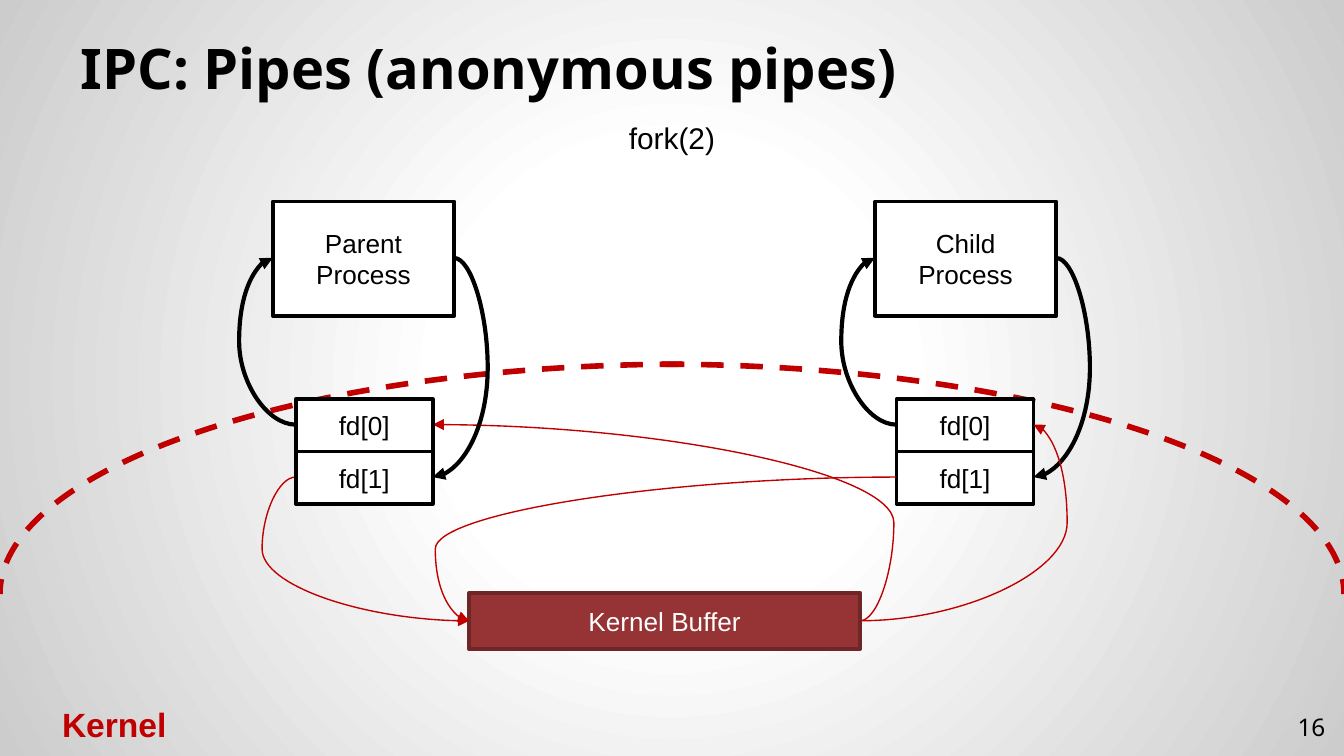
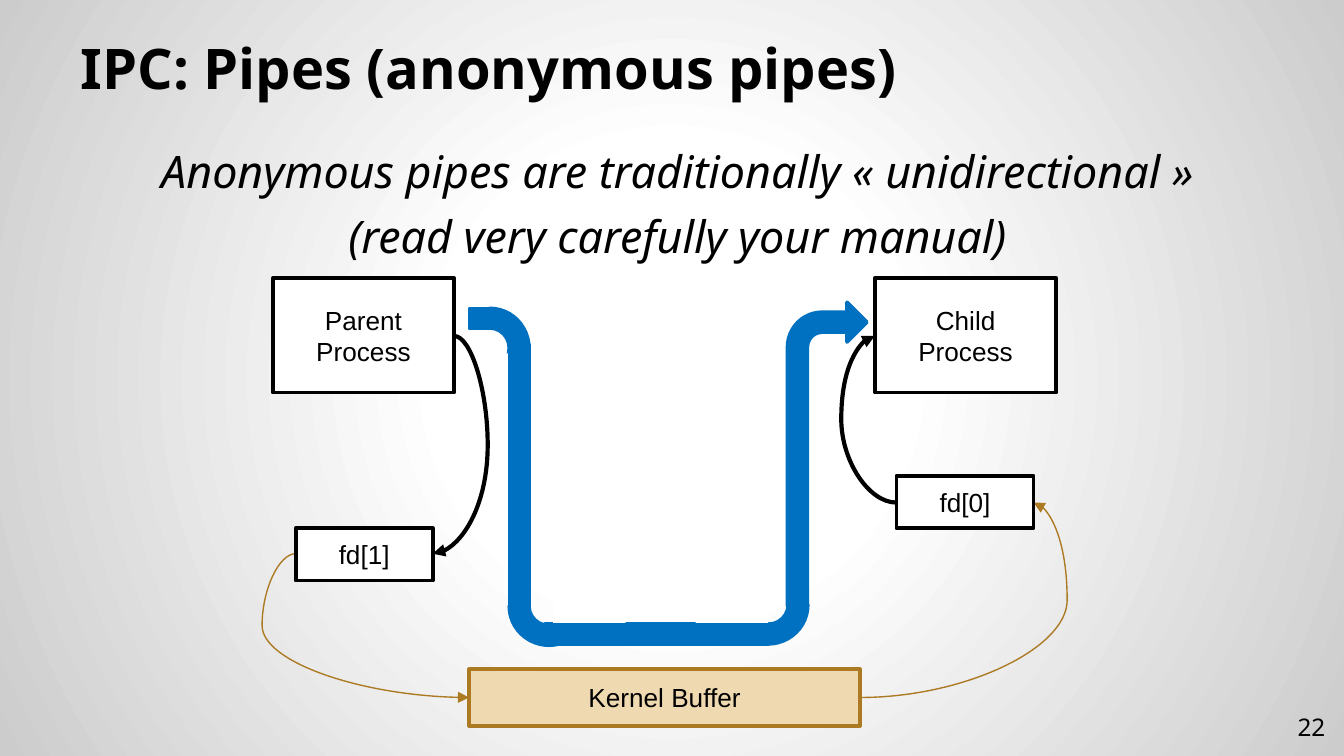
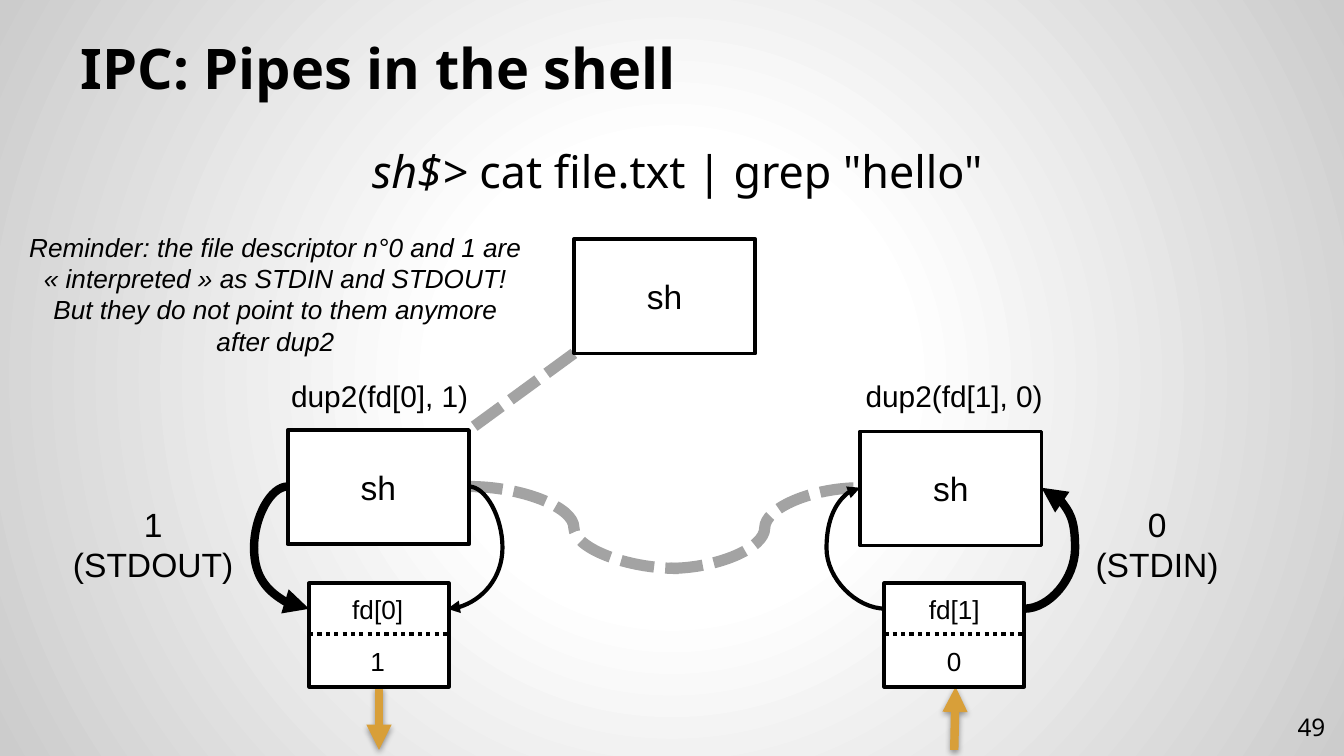
from pptx import Presentation
from pptx.dml.color import RGBColor
from pptx.enum.dml import MSO_LINE
from pptx.enum.shapes import MSO_CONNECTOR, MSO_SHAPE
from pptx.enum.text import MSO_ANCHOR, MSO_AUTO_SIZE, PP_ALIGN
from pptx.oxml import parse_xml
from pptx.oxml.ns import nsdecls
from pptx.util import Inches, Pt

RECTANGLE, ARC = MSO_SHAPE.RECTANGLE, MSO_SHAPE.ARC
BLOCK_ARC, BENT_ARROW = MSO_SHAPE.BLOCK_ARC, MSO_SHAPE.BENT_ARROW
STRAIGHT, CURVE = MSO_CONNECTOR.STRAIGHT, MSO_CONNECTOR.CURVE
DASH, SYSTEM_DASH, SYSTEM_DOT = MSO_LINE.DASH, MSO_LINE.SQUARE_DOT, MSO_LINE.ROUND_DOT
LEFT, CENTER, RIGHT = PP_ALIGN.LEFT, PP_ALIGN.CENTER, PP_ALIGN.RIGHT
TOP, MIDDLE, BOTTOM = MSO_ANCHOR.TOP, MSO_ANCHOR.MIDDLE, MSO_ANCHOR.BOTTOM


class Theme:
    black, white, gray = "000000", "FFFFFF", "A3A3A3"
    red, brick, dark_brick = "C00000", "963334", "6F2626"
    sand, bronze, orange, blue = "EFD9B0", "AB7A22", "D89F39", "0070C0"
    edge_gray = "CCCCCC"
    heading_font, diagram_font = "Noto Sans", "Arial"
    title, body, large, call, label, number = 30, 24, 18, 16, 14, 13
    outline, arrow, thin, thick, link = 2, 2.25, 0.75, 4.5, 6
    bend = 0.25


def add_box(slide, text, at, kind=RECTANGLE, placeholder=None, fill=None, line=None,
            line_width=Theme.outline, dash=None, rotation=0, flip=False,
            font=Theme.diagram_font, size=Theme.label, color=Theme.black, bold=False,
            italic=False, plain_tail="", align=CENTER, anchor=MIDDLE, inset=0.05,
            space_before=0, margin_left=None):
    left, top, width, height = (Inches(value) for value in at)
    if placeholder is not None:
        shape = placeholder
        shape.left, shape.top, shape.width, shape.height = left, top, width, height
    elif kind is None:
        shape = slide.shapes.add_textbox(left, top, width, height)
    else:
        shape = slide.shapes.add_shape(kind, left, top, width, height)
        shape.shadow.inherit = False
        shape.rotation = rotation
        if flip:
            shape._element.spPr.xfrm.set("flipH", "1")
        if fill:
            shape.fill.solid()
            shape.fill.fore_color.rgb = RGBColor.from_string(fill)
        else:
            shape.fill.background()
        if line:
            shape.line.color.rgb = RGBColor.from_string(line)
            shape.line.width = Pt(line_width)
            if dash:
                shape.line.dash_style = dash
        else:
            shape.line.fill.background()
    if not text:
        return
    frame = shape.text_frame
    frame.word_wrap = True
    frame.auto_size = MSO_AUTO_SIZE.NONE
    frame.vertical_anchor = anchor
    frame.margin_left = frame.margin_right = Inches(0.1)
    frame.margin_top = frame.margin_bottom = Inches(inset)
    for index, content in enumerate(text.split("\n")):
        paragraph = frame.add_paragraph() if index else frame.paragraphs[0]
        paragraph.text = content
        if plain_tail:
            paragraph.add_run().text = plain_tail
        if margin_left is not None:
            properties = paragraph._p.get_or_add_pPr()
            properties.set("marL", str(Inches(margin_left)))
            properties.set("indent", "0")
            properties.append(parse_xml(f"<a:buNone {nsdecls('a')}/>"))
        paragraph.alignment = align
        paragraph.space_before = Pt(space_before if index else 0)
        for run in paragraph.runs:
            run.font.name = font
            run.font.size = Pt(size)
            run.font.bold = bold
            run.font.italic = italic and run.text != plain_tail
            run.font.color.rgb = RGBColor.from_string(color)


def connect(slide, start, end, side=None, color=Theme.black, width=Theme.arrow,
            dash=None, head=True, shadow=False):
    kind = STRAIGHT if side is None else CURVE
    connector = slide.shapes.add_connector(kind, *(Inches(value) for value in (*start, *end)))
    connector.line.color.rgb = RGBColor.from_string(color)
    connector.line.width = Pt(width)
    if dash:
        connector.line.dash_style = dash
    properties = connector._element.spPr
    if side:
        edge = max(start[0], end[0]) if side > 0 else min(start[0], end[0])
        ratio = (edge + side * Theme.bend - start[0]) / (end[0] - start[0])
        properties.prstGeom.get_or_add_avLst().append(parse_xml(
            f'<a:gd {nsdecls("a")} name="adj1" fmla="val {round(ratio * 100000)}"/>'))
    if head:
        connector.line._get_or_add_ln().append(
            parse_xml(f'<a:tailEnd {nsdecls("a")} type="triangle"/>'))
    effect = ('<a:outerShdw blurRad="40000" dist="20000" dir="5400000" rotWithShape="0">'
              '<a:srgbClr val="000000"><a:alpha val="38000"/></a:srgbClr></a:outerShdw>')
    properties.append(parse_xml(
        f'<a:effectLst {nsdecls("a")}>{effect if shadow else ""}</a:effectLst>'))


presentation = Presentation()
presentation.slide_width = Inches(10)
presentation.slide_height = presentation.slide_width * 9 // 16

background_fill = presentation.slide_master.background.fill
background_fill.solid()
background_properties = presentation.slide_master._element.cSld.bg.bgPr
background_properties.replace(background_properties[0], parse_xml(
    f'<a:gradFill {nsdecls("a")} rotWithShape="1"><a:gsLst>'
    + "".join(f'<a:gs pos="{position}"><a:srgbClr val="{color}"/></a:gs>'
              for position, color in ((0, Theme.white), (30000, Theme.white),
                                      (100000, Theme.edge_gray)))
    + '</a:gsLst><a:path path="circle"><a:fillToRect l="50000" t="50000" r="50000" b="50000"/>'
    '</a:path></a:gradFill>'))

slides = []
for title, number, body, plain_tail in (
        ("IPC: Pipes (anonymous pipes)", "16", None, ""),
        ("IPC: Pipes (anonymous pipes)", "22",
         "Anonymous pipes are traditionally «\u00a0unidirectional\u00a0»\n"
         "(read very carefully your manual)", ""),
        ("IPC: Pipes in the shell", "49", "sh$> ", 'cat file.txt | grep "hello"')):
    slide = presentation.slides.add_slide(presentation.slide_layouts[1 if body else 5])
    add_box(slide, title, (0.5, 0.23, 9, 0.62), placeholder=slide.shapes.title,
            font=Theme.heading_font, size=Theme.title, bold=True, align=LEFT,
            anchor=BOTTOM, inset=0.1)
    if body:
        add_box(slide, body, (0.5, 0.97, 9, 4.41), placeholder=slide.placeholders[1],
                font=Theme.heading_font, size=Theme.body, italic=True, plain_tail=plain_tail,
                anchor=TOP, inset=0.1, space_before=6, margin_left=0.08)
    add_box(slide, number, (9.36, 5.19, 0.6, 0.43), kind=None, font=Theme.heading_font,
            size=Theme.number, align=RIGHT, inset=0.1)
    slides.append(slide)
fork_slide, direction_slide, shell_slide = slides

node = {"fill": Theme.white, "line": Theme.black}
kernel_curve = {"color": Theme.red, "width": Theme.thin}
connect(fork_slide, (6.4, 4.62), (3.22, 3.16), side=1, **kernel_curve)
add_box(fork_slide, "Kernel Buffer", (3.49, 4.41, 2.91, 0.42), fill=Theme.brick,
        line=Theme.dark_brick, color=Theme.white)
connect(fork_slide, (2.2, 3.55), (3.49, 4.62), side=-1, **kernel_curve)
for left, flip in ((-0.15, False), (0, True)):
    add_box(fork_slide, "", (left, 2.71, 10.15, 3.42), kind=ARC, flip=flip,
            line=Theme.red, line_width=3, dash=DASH)
add_box(fork_slide, "Kernel", (0.04, 5.19, 1.62, 0.4), kind=None, size=Theme.large,
        color=Theme.red, bold=True, anchor=TOP)
for name, left, descriptor_left in (("Child", 6.51, 6.67), ("Parent", 2.03, 2.2)):
    add_box(fork_slide, f"{name}\nProcess", (left, 1.5, 1.35, 0.85), **node)
    for index in range(2):
        add_box(fork_slide, f"fd[{index}]",
                (descriptor_left, 2.97 + 0.39 * index, 1.02, 0.39), **node)
    connect(fork_slide, (descriptor_left, 3.16), (left, 1.92), side=-1)
    connect(fork_slide, (left + 1.35, 1.92), (descriptor_left + 1.02, 3.55), side=1)
connect(fork_slide, (6.4, 4.62), (7.69, 3.16), side=1, **kernel_curve)
connect(fork_slide, (6.67, 3.55), (3.49, 4.62), side=-1, **kernel_curve)
add_box(fork_slide, "fork(2)", (3.9, 0.84, 2.2, 0.37), kind=None, size=Theme.call, anchor=TOP)

kernel_curve = {"color": Theme.bronze, "width": Theme.thin}
add_box(direction_slide, "Kernel Buffer", (3.49, 4.98, 2.91, 0.42), fill=Theme.sand,
        line=Theme.bronze)
connect(direction_slide, (2.2, 4.12), (3.49, 5.19), side=-1, **kernel_curve)
connect(direction_slide, (6.4, 5.19), (7.69, 3.74), side=1, **kernel_curve)
for text, at in (("Child\nProcess", (6.51, 2.07, 1.35, 0.85)),
                 ("fd[0]", (6.67, 3.54, 1.02, 0.39)),
                 ("Parent\nProcess", (2.03, 2.07, 1.35, 0.85)),
                 ("fd[1]", (2.2, 3.93, 1.02, 0.39))):
    add_box(direction_slide, text, at, **node)
connect(direction_slide, (6.67, 3.74), (6.51, 2.5), side=-1)
for kind, at, rotation, flip in (
        (RECTANGLE, (3.5, 2.29, 0.15, 0.16), 270, True),
        (BENT_ARROW, (5.86, 2.25, 0.59, 2.26), 0, False),
        (BLOCK_ARC, (5.42, 4.21, 0.59, 0.58), 180, False),
        (RECTANGLE, (4.81, 3.89, 0.15, 1.66), 270, False),
        (BLOCK_ARC, (3.35, 2.3, 0.59, 0.58), 90, True),
        (BLOCK_ARC, (3.79, 4.22, 0.59, 0.58), 180, False),
        (RECTANGLE, (3.79, 2.57, 0.15, 1.94), 0, False)):
    add_box(direction_slide, "", at, kind=kind, rotation=rotation, flip=flip,
            fill=Theme.blue, line=Theme.blue)
for left, top, rotation in ((3.53, 2.63, 0), (4.26, 4.24, 90), (5.32, 4.24, 90)):
    add_box(direction_slide, "", (left, top, 0.25, 0.54), rotation=rotation, fill=Theme.white)
connect(direction_slide, (3.38, 2.5), (3.22, 4.12), side=1)

flow = {"color": Theme.orange, "width": Theme.thick, "shadow": True}
family_link = {"color": Theme.gray, "width": Theme.link, "dash": SYSTEM_DASH, "head": False}
connect(shell_slide, (7.1, 5.58), (7.11, 5.11), **flow)
connect(shell_slide, (2.82, 5.11), (2.82, 5.58), **flow)
connect(shell_slide, (4.98, 4.23), (6.4, 3.63), side=0, **family_link)
connect(shell_slide, (3.49, 3.62), (5.05, 4.23), side=0, **family_link)
connect(shell_slide, (4.27, 2.63), (3.49, 3.2), **family_link)
for left, top in ((4.27, 1.78), (6.4, 3.21), (2.14, 3.2)):
    add_box(shell_slide, "sh", (left, top, 1.35, 0.85), size=Theme.large, **node)
for left, frame_left, names in ((2.3, 2.3, ("fd[0]", "1")), (6.59, 6.58, ("fd[1]", "0"))):
    for index, name in enumerate(names):
        add_box(shell_slide, name, (left, 4.34 + 0.38 * index, 1.02, 0.39),
                fill=Theme.white, line=Theme.white)
    add_box(shell_slide, "", (frame_left, 4.34, 1.04, 0.77), line=Theme.black)
    connect(shell_slide, (frame_left, 4.72), (frame_left + 1.04, 4.72),
            dash=SYSTEM_DOT, head=False)
for start, end, side, width in (((2.14, 3.62), (2.3, 4.53), -1, Theme.thick),
                                ((7.62, 4.53), (7.75, 3.63), 1, Theme.thick),
                                ((6.59, 4.53), (6.4, 3.63), -1, Theme.arrow),
                                ((3.49, 3.62), (3.33, 4.53), 1, Theme.arrow)):
    connect(shell_slide, start, end, side=side, width=width)
for text, at, size, italic in (
        ("dup2(fd[1], 0)", (6.25, 2.76, 1.7, 0.37), Theme.call, False),
        ("dup2(fd[0], 1)", (2.05, 2.76, 1.55, 0.37), Theme.call, False),
        ("1\v(STDOUT)", (0.42, 3.7, 1.44, 0.71), Theme.large, False),
        ("0\n(STDIN)", (7.96, 3.7, 1.3, 0.71), Theme.large, False),
        ("Reminder: the file descriptor n°0 and 1 are «\u00a0interpreted\u00a0» as STDIN and "
         "STDOUT!\nBut they do not point to them anymore after dup2",
         (0.1, 1.67, 3.9, 1.04), Theme.label, True)):
    add_box(shell_slide, text, at, kind=None, size=size, italic=italic, anchor=TOP)

presentation.save("out.pptx")
